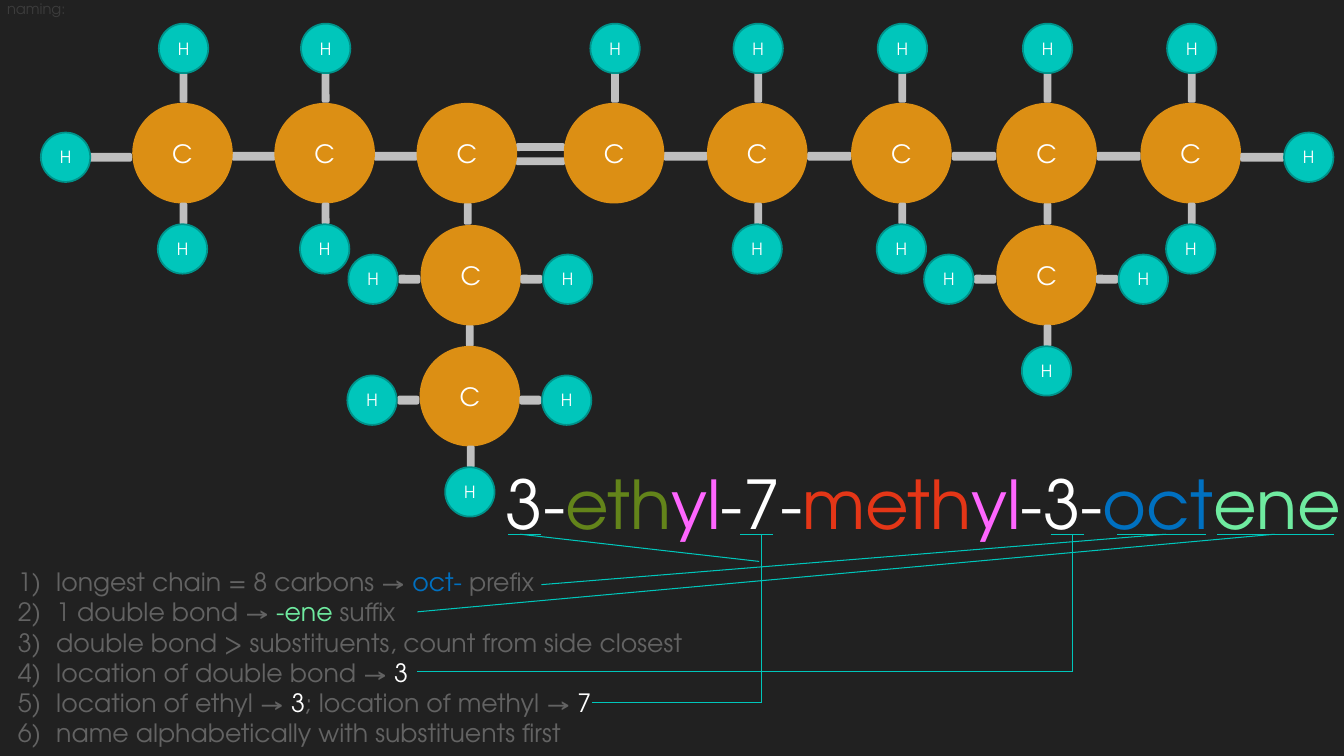
from dataclasses import dataclass
from itertools import pairwise

from lxml import etree
from pptx import Presentation
from pptx.dml.color import RGBColor
from pptx.enum.shapes import MSO_CONNECTOR, MSO_SHAPE
from pptx.enum.text import MSO_ANCHOR, MSO_AUTO_SIZE, PP_ALIGN
from pptx.oxml.ns import qn
from pptx.util import Inches, Pt

OVAL, ROUNDED = MSO_SHAPE.OVAL, MSO_SHAPE.ROUNDED_RECTANGLE
STRAIGHT = MSO_CONNECTOR.STRAIGHT
MIDDLE, TOP = MSO_ANCHOR.MIDDLE, MSO_ANCHOR.TOP
CENTER, LEFT = PP_ALIGN.CENTER, PP_ALIGN.LEFT
GROW = MSO_AUTO_SIZE.SHAPE_TO_FIT_TEXT


@dataclass(frozen=True)
class Theme:
    font: str = "TeX Gyre Adventor"
    ground: str = "212121"
    heading: str = "3C3C3C"
    carbon: str = "DC8F14"
    hydrogen: str = "00C6BB"
    hydrogen_edge: str = "00928A"
    bond: str = "BFBFBF"
    white: str = "FFFFFF"
    grey: str = "636363"
    eth: str = "63841A"
    yl: str = "FF66FF"
    meth: str = "E43617"
    oct: str = "0070C0"
    ene: str = "6FEBA0"
    heading_size: float = 10.5
    hydrogen_size: float = 12
    body_size: float = 18
    name_size: float = 48
    edge_width: float = 1.25
    leader_width: float = 0.75


THEME = Theme()
HEADING = "naming:"
COMPOUND = [("3-", THEME.white), ("eth", THEME.eth), ("yl", THEME.yl),
            ("-7-", THEME.white), ("meth", THEME.meth), ("yl", THEME.yl),
            ("-3-", THEME.white), ("oct", THEME.oct), ("ene", THEME.ene)]
RULES = [
    [("longest chain = 8 carbons → ", THEME.grey), ("oct-", THEME.oct), (" prefix", THEME.grey)],
    [("1 double bond → ", THEME.grey), ("-ene ", THEME.ene), ("suffix", THEME.grey)],
    [("double bond > substituents, count from side closest", THEME.grey)],
    [("location of double bond → ", THEME.grey), ("3", THEME.white)],
    [("location of ethyl → ", THEME.grey), ("3", THEME.white),
     ("; location of methyl → ", THEME.grey), ("7", THEME.white)],
    [("name alphabetically with substituents first", THEME.grey)],
]

CHAIN = [(1.81, ["up", "down", "far left"]), (3.22, ["up", "down"]), (4.63, []),
         (6.09, ["up"]), (7.51, ["up", "down"]), (8.94, ["up", "down"]),
         (10.38, ["up"]), (11.81, ["up", "down", "far right"])]
CHAIN_Y = 1.52
DOUBLE_BOND = 2
BRANCHES = [(4.67, 2.73, ["left", "right"]),
            (4.66, 3.93, ["left", "right", "down"]),
            (10.38, 2.73, ["left", "right", "down"])]
CARBON, HYDROGEN = 0.98, 0.49
UPRIGHT, STEM = (0.06, 0.28), (0.06, 0.2)
ARM, LINK, TWIN = (0.2, 0.07), (0.42, 0.07), (0.47, 0.06)
SIDES = {
    "up": ((0.01, -1.04), (0.01, -0.65), UPRIGHT),
    "down": ((0, 0.95), (0.01, 0.6), STEM),
    "left": ((-0.97, 0.04), (-0.61, 0.04), ARM),
    "right": ((0.96, 0.04), (0.6, 0.04), ARM),
    "far left": ((-1.16, 0.04), (-0.72, 0.04), LINK),
    "far right": ((1.17, 0.04), (0.71, 0.04), LINK),
}

UNDERLINE_Y = 5.3
UNDERLINES = [(5.04, 5.37), (7.34, 7.67), (10.42, 10.75), (11.08, 11.96), (12.07, 13.23)]
LEADERS = [
    [(5.37, 5.8), (11.56, UNDERLINE_Y)],
    [(4.14, 6.07), (12.64, UNDERLINE_Y)],
    [(4.14, 6.66), (10.64, 6.66), (10.64, UNDERLINE_Y)],
    [(5.87, 6.97), (7.55, 6.97), (7.55, UNDERLINE_Y)],
    [(7.53, 5.57), (5.16, UNDERLINE_Y)],
]

prs = Presentation()
prs.slide_width, prs.slide_height = Inches(13.33), Inches(7.5)
slide = prs.slides.add_slide(prs.slide_layouts[5])


def rgb(value):
    return RGBColor.from_string(value)


def write(paragraph, runs, size, align=LEFT):
    paragraph.alignment = align
    for words, colour in runs:
        run = paragraph.add_run()
        run.text = words
        run.font.name, run.font.size = THEME.font, Pt(size)
        run.font.color.rgb = rgb(colour)


def solid(preset, center, size, fill, edge):
    x, y = center
    w, h = size
    shape = slide.shapes.add_shape(
        preset, Inches(x - w / 2), Inches(y - h / 2), Inches(w), Inches(h))
    shape.shadow.inherit = False
    shape.fill.solid()
    shape.fill.fore_color.rgb = rgb(fill)
    shape.line.color.rgb = rgb(edge)
    shape.line.width = Pt(THEME.edge_width)
    return shape


def atom(symbol, center, diameter, fill, edge, size):
    frame = solid(OVAL, center, (diameter, diameter), fill, edge).text_frame
    frame.margin_left = frame.margin_right = 0
    frame.vertical_anchor = MIDDLE
    write(frame.paragraphs[0], [(symbol, THEME.white)], size, CENTER)


def bond(center, size):
    solid(ROUNDED, center, size, THEME.bond, THEME.bond)


def carbon(x, y, sides):
    atom("C", (x, y), CARBON, THEME.carbon, THEME.carbon, THEME.body_size)
    for side in sides:
        (hx, hy), (bx, by), size = SIDES[side]
        bond((x + bx, y + by), size)
        atom("H", (x + hx, y + hy), HYDROGEN, THEME.hydrogen,
             THEME.hydrogen_edge, THEME.hydrogen_size)


def text_block(left, top, width, height):
    box = slide.shapes.add_textbox(Inches(left), Inches(top), Inches(width), Inches(height))
    box.text_frame.word_wrap = False
    box.text_frame.auto_size = GROW
    return box.text_frame


def leader(start, end):
    line = slide.shapes.add_connector(STRAIGHT, *map(Inches, start + end))
    line.line.color.rgb = rgb(THEME.hydrogen)
    line.line.width = Pt(THEME.leader_width)
    etree.SubElement(line._element.spPr, qn("a:effectLst"))


slide.background.fill.solid()
slide.background.fill.fore_color.rgb = rgb(THEME.ground)

heading = slide.shapes.title
heading.left, heading.top, heading.width, heading.height = map(Inches, (0.07, 0, 2, 0.2))
caption = heading.text_frame
caption.margin_left = caption.margin_top = caption.margin_bottom = 0
caption.vertical_anchor = TOP
write(caption.paragraphs[0], [(HEADING, THEME.heading)], THEME.heading_size)

for place, ((x, _), (following, _)) in enumerate(pairwise(CHAIN)):
    middle = (x + following) / 2
    if place == DOUBLE_BOND:
        for offset in (-0.06, 0.08):
            bond((middle, CHAIN_Y + offset), TWIN)
    else:
        bond((middle, CHAIN_Y + 0.03), LINK)

for x, y in ((4.64, 2.12), (4.66, 3.33), (10.39, 2.12)):
    bond((x, y), STEM)
for x, sides in CHAIN:
    carbon(x, CHAIN_Y, sides)
for branch in BRANCHES:
    carbon(*branch)

steps = text_block(0.08, 5.57, 6.83, 1.92)
for number, runs in enumerate(RULES):
    step = steps.add_paragraph() if number else steps.paragraphs[0]
    write(step, runs, THEME.body_size)
    props = step._p.get_or_add_pPr()
    props.set("marL", str(Inches(0.38)))
    props.set("indent", str(Inches(-0.38)))
    etree.SubElement(props, qn("a:buAutoNum"), type="arabicParenR")

write(text_block(4.92, 4.54, 8.61, 0.91).paragraphs[0], COMPOUND, THEME.name_size)

for left, right in UNDERLINES:
    leader((left, UNDERLINE_Y), (right, UNDERLINE_Y))
for route in LEADERS:
    for start, end in pairwise(route):
        leader(start, end)

prs.save("out.pptx")
